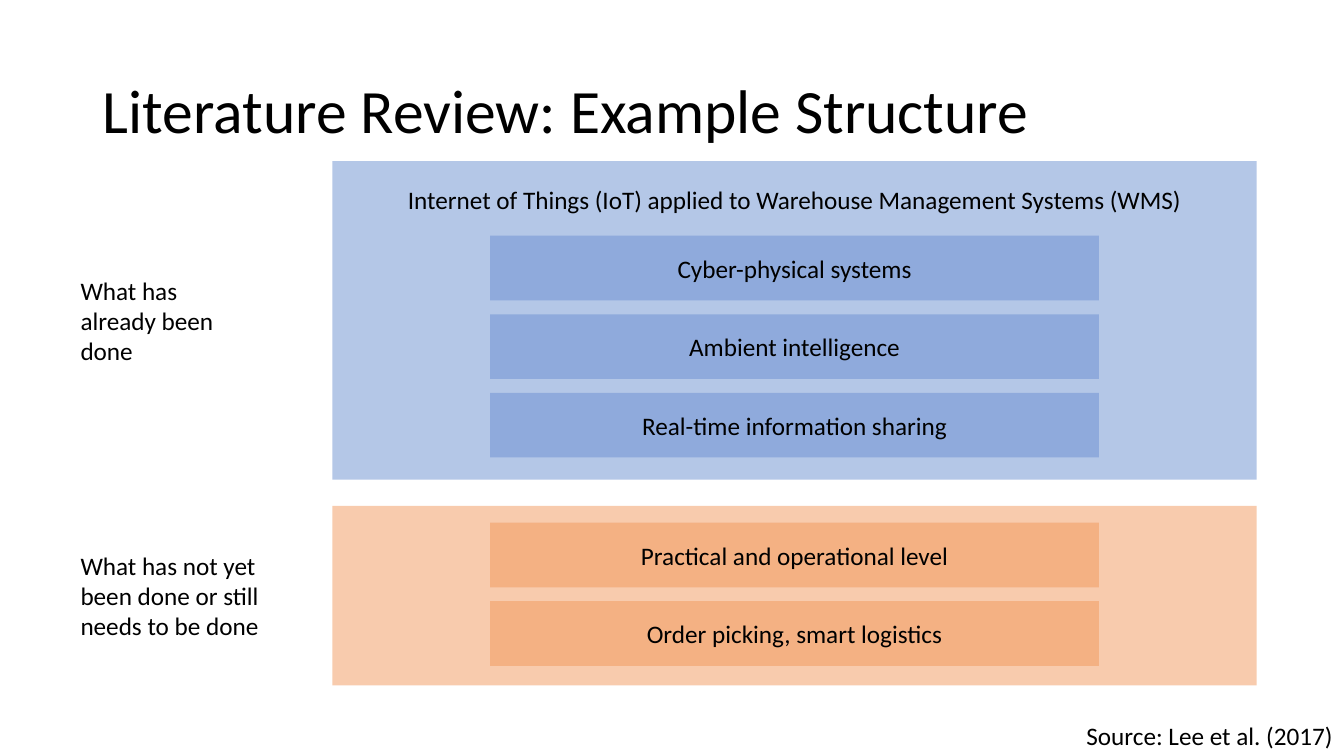
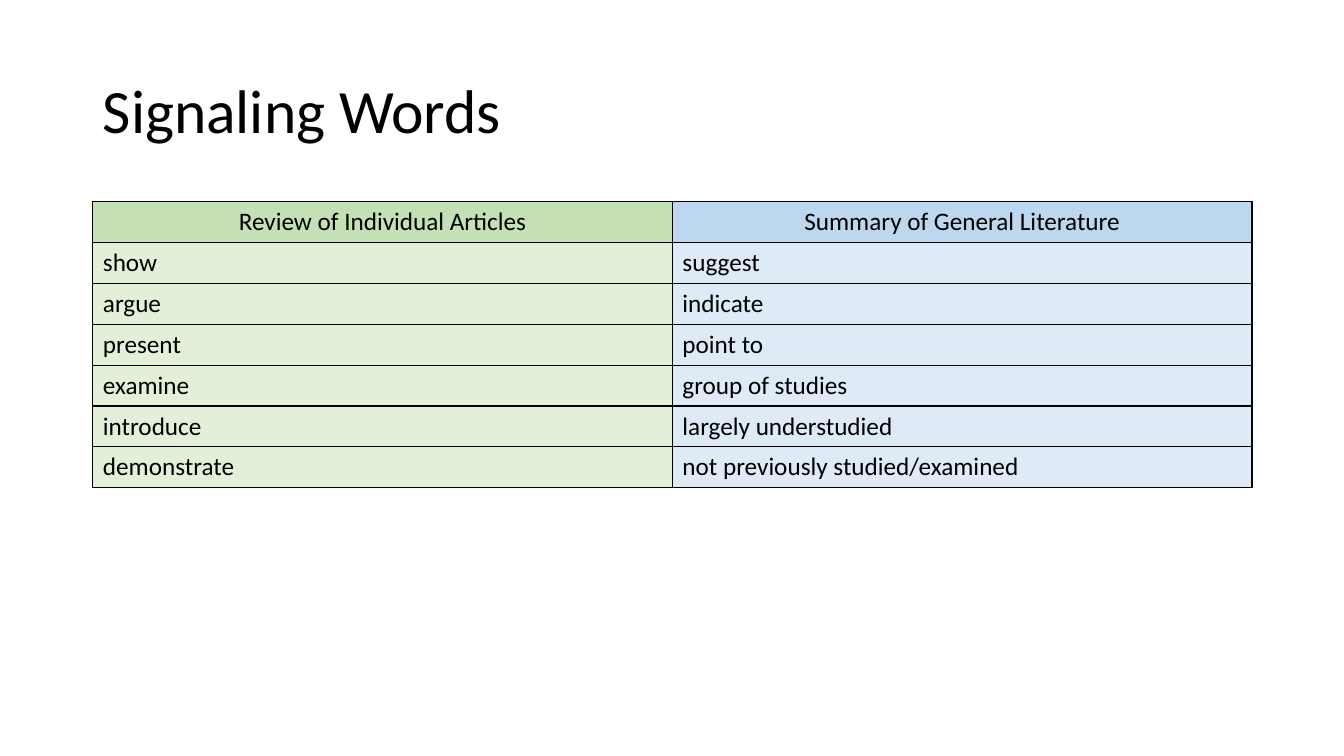
from typing import NamedTuple

from pptx import Presentation
from pptx.dml.color import RGBColor
from pptx.enum.shapes import MSO_SHAPE
from pptx.enum.text import MSO_ANCHOR, PP_ALIGN
from pptx.oxml import parse_xml
from pptx.oxml.ns import nsdecls
from pptx.util import Cm, Pt

RECT = MSO_SHAPE.RECTANGLE
TOP, MIDDLE = MSO_ANCHOR.TOP, MSO_ANCHOR.MIDDLE
LEFT, CENTER = PP_ALIGN.LEFT, PP_ALIGN.CENTER

FONT = "Calibri"
BLACK = "000000"
BODY_SIZE, TITLE_SIZE = 18, 44
MARGIN, CONTENT_W = 2.34, 29.21
PANEL_X, PANEL_W = 8.38, 23.29
BAR_W, BAR_H, BAR_PITCH = 15.34, 1.63, 1.98
LABEL_X = 1.78
ROW_H = 1.03


class Panel(NamedTuple):
    label: str
    label_w: float
    top: float
    height: float
    fill: str
    heading: str
    bar_offset: float
    bar_fill: str
    bars: list[str]


class Column(NamedTuple):
    heading: str
    head_fill: str
    body_fill: str
    words: list[str]


PANELS = [
    Panel("What has already been done", 3.96, 4.06, 8.03, "B4C7E7",
          "Internet of Things (IoT) applied to Warehouse Management Systems (WMS)",
          1.88, "8FAADC",
          ["Cyber-physical systems", "Ambient intelligence", "Real-time information sharing"]),
    Panel("What has not yet been done or still needs to be done", 5.36, 12.75, 4.52, "F8CBAD",
          "", 0.42, "F4B183",
          ["Practical and operational level", "Order picking, smart logistics"]),
]

COLUMNS = [
    Column("Review of Individual Articles", "C5E0B4", "E2F0D9",
           ["show", "argue", "present", "examine", "introduce", "demonstrate"]),
    Column("Summary of General Literature", "BDD7EE", "DEEBF7",
           ["suggest", "indicate", "point to", "group of studies",
            "largely understudied", "not previously studied/examined"]),
]


def rgb(value: str) -> RGBColor:
    return RGBColor.from_string(value)


def write(tf, text: str, size: int = BODY_SIZE, align=LEFT) -> None:
    tf.text = text
    p = tf.paragraphs[0]
    p.alignment = align
    for r in p.runs:
        r.font.name = FONT
        r.font.size = Pt(size)
        r.font.color.rgb = rgb(BLACK)


def add_text(s, text: str, x: float, y: float, w: float, h: float,
             size: int = BODY_SIZE, anchor=MIDDLE):
    tf = s.shapes.add_textbox(Cm(x), Cm(y), Cm(w), Cm(h)).text_frame
    tf.word_wrap = True
    tf.vertical_anchor = anchor
    write(tf, text, size)
    return tf


def add_rect(s, x: float, y: float, w: float, h: float, fill: str,
             text: str = "", anchor=MIDDLE):
    sp = s.shapes.add_shape(RECT, Cm(x), Cm(y), Cm(w), Cm(h))
    sp.shadow.inherit = False
    sp.fill.solid()
    sp.fill.fore_color.rgb = rgb(fill)
    sp.line.fill.background()
    sp.text_frame.vertical_anchor = anchor
    if text:
        write(sp.text_frame, text, align=CENTER)
    return sp


def add_slide(prs, title: str):
    s = prs.slides.add_slide(prs.slide_layouts[6])
    tf = add_text(s, title, MARGIN, 1.02, CONTENT_W, 3.68, TITLE_SIZE)
    tf.paragraphs[0].line_spacing = 0.9
    return s


def add_panel(s, panel: Panel) -> None:
    sp = add_rect(s, PANEL_X, panel.top, PANEL_W, panel.height, panel.fill, panel.heading, TOP)
    sp.text_frame.margin_top = Cm(0.58)
    add_text(s, panel.label, LABEL_X, panel.top, panel.label_w, panel.height)
    bar_x = PANEL_X + (PANEL_W - BAR_W) / 2
    for i, text in enumerate(panel.bars):
        y = panel.top + panel.bar_offset + i * BAR_PITCH
        add_rect(s, bar_x, y, BAR_W, BAR_H, panel.bar_fill, text)


def style_cell(cell, text: str, fill: str, align) -> None:
    tc_pr = cell._tc.get_or_add_tcPr()
    for side in ("lnL", "lnR", "lnT", "lnB"):
        tc_pr.append(parse_xml(
            f'<a:{side} {nsdecls("a")} w="{Pt(1)}"><a:solidFill>'
            f'<a:srgbClr val="{BLACK}"/></a:solidFill></a:{side}>'))
    cell.fill.solid()
    cell.fill.fore_color.rgb = rgb(fill)
    write(cell.text_frame, text, align=align)


def add_word_table(s, columns: list[Column]) -> None:
    rows = 1 + len(columns[0].words)
    table = s.shapes.add_table(rows, len(columns), Cm(MARGIN), Cm(5.08),
                               Cm(CONTENT_W), Cm(rows * ROW_H)).table
    table.first_row = table.horz_banding = False
    for row in table.rows:
        row.height = Cm(ROW_H)
    for c, column in enumerate(columns):
        style_cell(table.cell(0, c), column.heading, column.head_fill, CENTER)
        for r, word in enumerate(column.words, start=1):
            style_cell(table.cell(r, c), word, column.body_fill, LEFT)


def main() -> None:
    """Build the literature review slides and save them."""
    prs = Presentation()
    prs.slide_width, prs.slide_height = Cm(33.87), Cm(19.05)

    s = add_slide(prs, "Literature Review: Example Structure")
    for panel in PANELS:
        add_panel(s, panel)
    add_text(s, "Source: Lee et al. (2017)", 27.13, 18.03, 6.74, 1.02)

    s = add_slide(prs, "Signaling Words")
    add_word_table(s, COLUMNS)

    prs.save("out.pptx")


if __name__ == "__main__":
    main()
